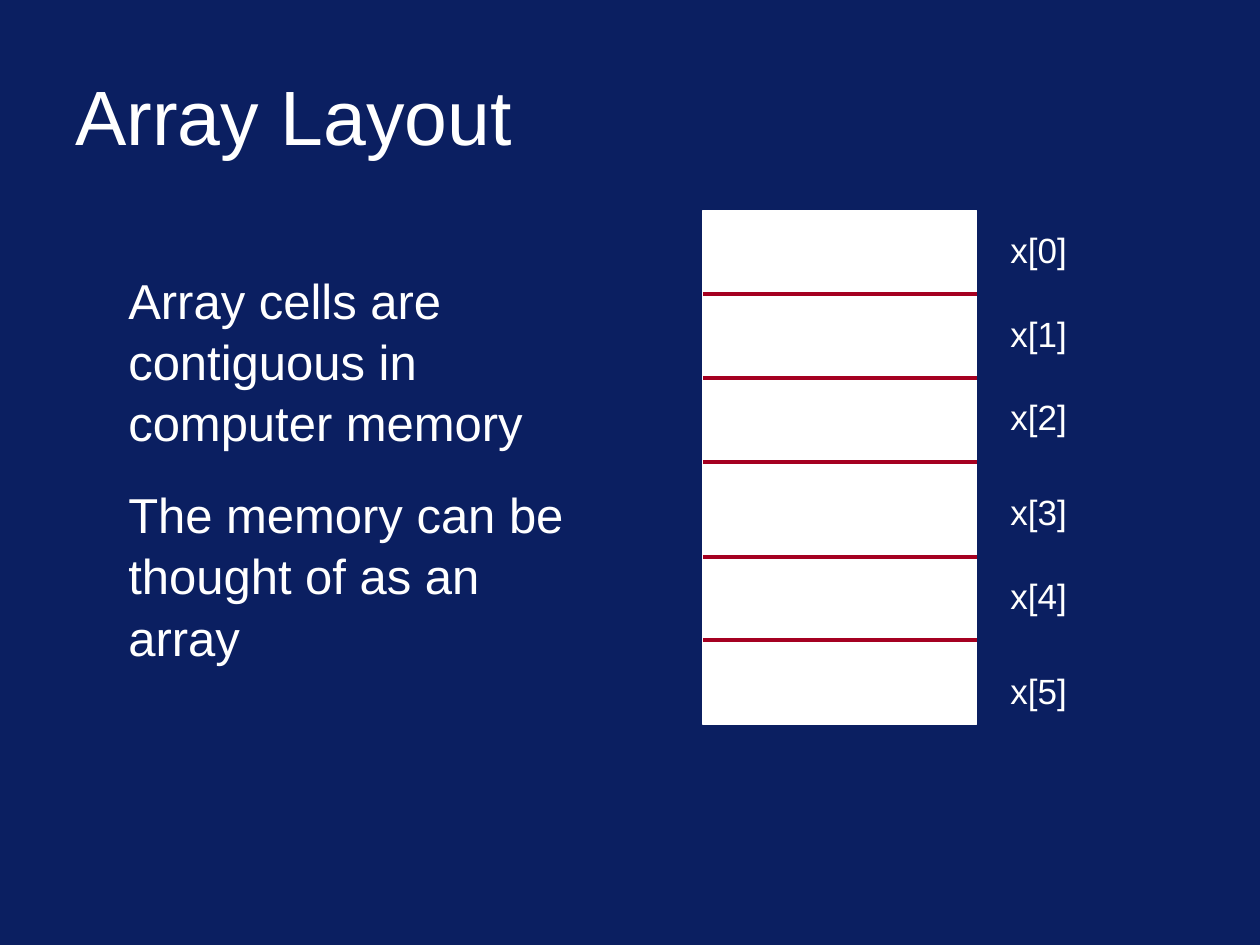
from dataclasses import dataclass

from lxml import etree
from pptx import Presentation
from pptx.dml.color import RGBColor
from pptx.enum.shapes import MSO_CONNECTOR as Connector, MSO_SHAPE as Shape
from pptx.enum.text import MSO_ANCHOR as Anchor, MSO_AUTO_SIZE as AutoSize
from pptx.oxml.ns import qn
from pptx.util import Inches, Pt


@dataclass(frozen=True)
class Theme:
    font: str = "Arial"
    background: RGBColor = RGBColor(0x0B, 0x1F, 0x61)
    light: RGBColor = RGBColor(0xFF, 0xFF, 0xFF)
    divider: RGBColor = RGBColor(0xA5, 0x00, 0x21)
    title_size: float = 44
    body_size: float = 28
    label_size: float = 20
    line_spacing: float = 1.04
    paragraph_gap: float = 17.5


class SlideBuilder:
    def __init__(self, slide, theme):
        self.slide = slide
        self.theme = theme
        fill = slide.background.fill
        fill.solid()
        fill.fore_color.rgb = theme.background

    def text(self, left, top, width, height, paragraphs, size,
             anchor=Anchor.TOP, wrap=True):
        box = self.slide.shapes.add_textbox(
            Inches(left), Inches(top), Inches(width), Inches(height))
        frame = box.text_frame
        frame.word_wrap = wrap
        frame.auto_size = AutoSize.NONE
        frame.vertical_anchor = anchor
        for index, content in enumerate(paragraphs):
            paragraph = frame.add_paragraph() if index else frame.paragraphs[0]
            paragraph.line_spacing = self.theme.line_spacing
            if index:
                paragraph.space_before = Pt(self.theme.paragraph_gap)
            run = paragraph.add_run()
            run.text = content
            run.font.name = self.theme.font
            run.font.size = Pt(size)
            run.font.color.rgb = self.theme.light

    def rectangle(self, left, top, width, height):
        shape = self.slide.shapes.add_shape(
            Shape.RECTANGLE, Inches(left), Inches(top), Inches(width), Inches(height))
        shape.shadow.inherit = False
        shape.fill.solid()
        shape.fill.fore_color.rgb = self.theme.light
        shape.line.color.rgb = self.theme.light
        shape.line.width = Pt(0.75)

    def divider(self, left, right, y):
        line = self.slide.shapes.add_connector(
            Connector.STRAIGHT, Inches(left), Inches(y), Inches(right), Inches(y))
        line.line.color.rgb = self.theme.divider
        line.line.width = Pt(2.25)
        etree.SubElement(line._element.spPr, qn("a:effectLst"))


def main():
    presentation = Presentation()
    presentation.slide_width = Inches(10)
    presentation.slide_height = Inches(7.5)
    theme = Theme()
    slide = presentation.slides.add_slide(presentation.slide_layouts[6])
    builder = SlideBuilder(slide, theme)

    # Title
    builder.text(0.5, 0.4, 9, 1, ["Array Layout"], theme.title_size, Anchor.MIDDLE)

    # Memory block with its cell dividers
    left, top, width, height = 5.58, 1.67, 2.17, 4.08
    builder.rectangle(left, top, width, height)
    for y in (2.33, 3, 3.67, 4.42, 5.08):
        builder.divider(left, left + width, y)

    # Cell labels
    for index, label_top in enumerate((1.75, 2.42, 3.08, 3.83, 4.5, 5.25)):
        builder.text(7.92, label_top, 0.65, 0.44, [f"x[{index}]"],
                     theme.label_size, wrap=False)

    # Explanation
    builder.text(0.92, 2.08, 3.92, 3.15, [
        "Array cells are contiguous in computer memory",
        "The memory can be thought of as an array",
    ], theme.body_size)

    presentation.save("out.pptx")


if __name__ == "__main__":
    main()
